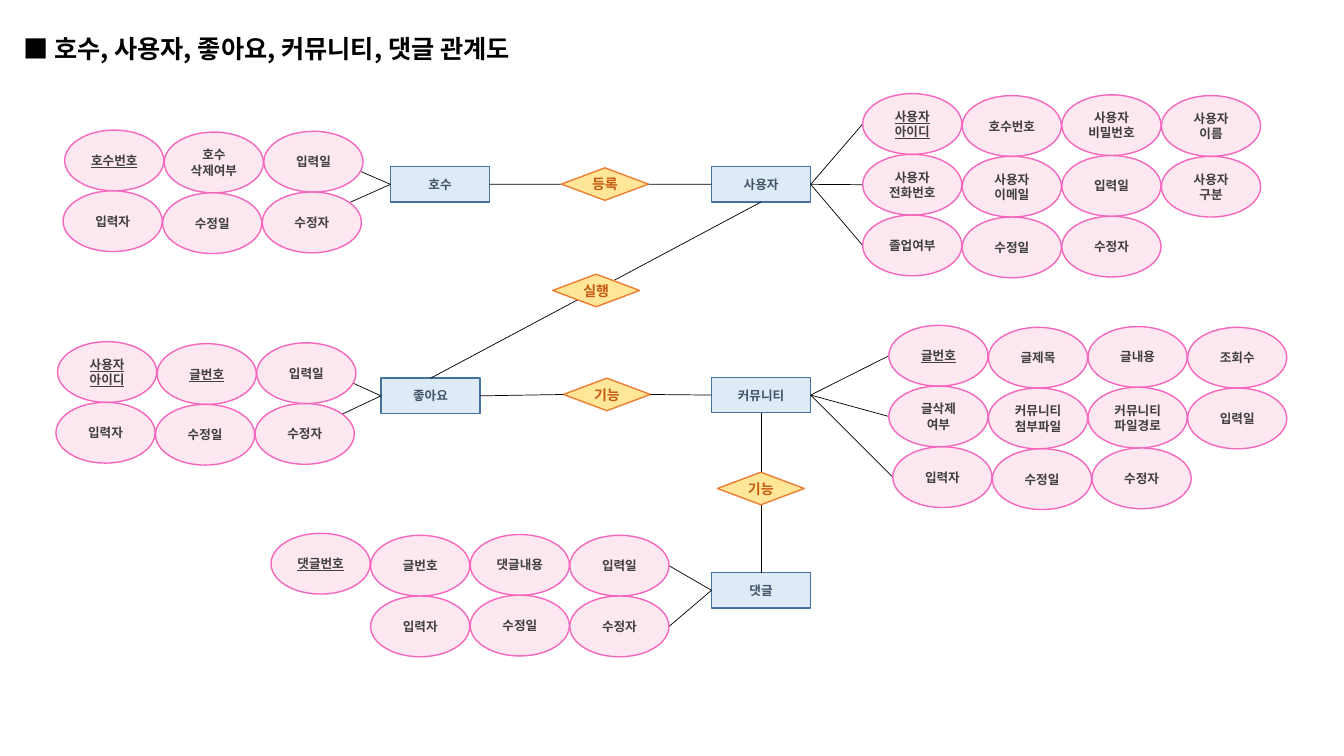
from lxml.etree import SubElement
from pptx import Presentation
from pptx.dml.color import RGBColor
from pptx.enum.shapes import MSO_CONNECTOR, MSO_SHAPE
from pptx.enum.text import MSO_ANCHOR, PP_ALIGN
from pptx.oxml.ns import qn
from pptx.util import Cm, Pt

FONT = "Noto Sans CJK KR"
COLORS = {
    "black": "000000",
    "entity": "DEEBF7", "entity_line": "43739E", "entity_text": "44546A",
    "attribute": "FDE7F1", "attribute_line": "F567BC", "attribute_text": "404040",
    "relation": "FFE699", "relation_line": "ED7D31", "relation_text": "C55A11",
}
TOP, LEFT, BOTTOM, RIGHT = range(4)

TITLE = "■ 호수, 사용자, 좋아요, 커뮤니티, 댓글 관계도"
ENTITIES = {
    "호수": (9.84, 4.2),
    "사용자": (17.93, 4.2),
    "좋아요": (9.6, 9.53),
    "커뮤니티": (17.93, 9.51),
    "댓글": (17.93, 14.43),
}
RELATIONS = [
    ("등록", 14.15, 4.23, "호수", "사용자"),
    ("실행", 13.93, 6.91, None, None),
    ("기능", 14.2, 9.53, "좋아요", "커뮤니티"),
    ("기능", 18.08, 11.9, None, None),
]
DIRECT_LINES = [("좋아요", TOP, "사용자", BOTTOM), ("댓글", TOP, "커뮤니티", BOTTOM)]

BEHIND = [(0, 2, 0.82, 0.55), (1, 2, 0.87, 0.18)]
FIRST_COLUMN = [(row, 0, 0, 0.5) for row in range(3)]
LAST_COLUMN = [(row, 3, 1, 0.5) for row in range(2)]
ATTRIBUTES = [
    ("호수", LEFT, BEHIND, 1, 3.28, [
        (1.63, ["호수번호", "호수\n삭제여부", "입력일"]),
        (1.59, ["입력자", "수정일", "수정자"])]),
    ("사용자", RIGHT, FIRST_COLUMN, 1, 2.36, [
        (21.74, ["사용자\n아이디", "호수번호", "사용자\n비밀번호", "사용자\n이름"]),
        (21.74, ["사용자\n전화번호", "사용자\n이메일", "입력일", "사용자\n구분"]),
        (21.74, ["졸업여부", "수정일", "수정자"])]),
    ("좋아요", LEFT, BEHIND, 2, 8.61, [
        (1.45, ["사용자\n아이디", "글번호", "입력일"]),
        (1.41, ["입력자", "수정일", "수정자"])]),
    ("커뮤니티", RIGHT, FIRST_COLUMN, 1, 8.2, [
        (22.4, ["글번호", "글제목", "글내용", "조회수"]),
        (22.4, ["글삭제\n여부", "커뮤니티\n첨부파일", "커뮤니티\n파일경로", "입력일"]),
        (22.5, ["입력자", "수정일", "수정자"])]),
    ("댓글", LEFT, LAST_COLUMN, 1, 13.44, [
        (6.83, ["댓글번호", "글번호", "댓글내용", "입력일"]),
        (6.83, [None, "입력자", "수정일", "수정자"])]),
]

ENTITY_SIZE = (2.5, 0.89)
RELATION_SIZE = (2.19, 0.82)
ATTRIBUTE_SIZE = (2.5, 1.53)
PITCH_X, PITCH_Y = 2.51, 1.53
STAGGER = [0, 0.05, 0.03, 0.05]

prs = Presentation()
prs.slide_width, prs.slide_height = Cm(33.87), Cm(19.05)
slide = prs.slides.add_slide(prs.slide_layouts[5])
shapes = slide.shapes


def rgb(name):
    return RGBColor.from_string(COLORS[name])


def format_text(tf, size, color, align, underline=None):
    for p in tf.paragraphs:
        p.alignment = align
        p.font.name, p.font.size, p.font.bold = FONT, Pt(size), True
        p.font.color.rgb = rgb(color)
        p.font.underline = underline
        for r in p.runs:
            SubElement(r.font._element, qn("a:ea"), typeface=FONT)


def add_node(kind, style, text, x, y, size, pt, underline=None):
    sp = shapes.add_shape(kind, Cm(x), Cm(y), *map(Cm, size))
    sp.shadow.inherit = False
    sp.fill.solid()
    sp.fill.fore_color.rgb = rgb(style)
    sp.line.color.rgb = rgb(style + "_line")
    sp.line.width = Pt(1)
    tf = sp.text_frame
    tf.margin_left = tf.margin_right = tf.margin_top = tf.margin_bottom = 0
    tf.word_wrap = False
    tf.vertical_anchor = MSO_ANCHOR.MIDDLE
    tf.text = text
    format_text(tf, pt, style + "_text", PP_ALIGN.CENTER, underline)
    return sp


def add_line(end, end_side, start=None, start_side=None, point=(0, 0)):
    x, y = map(Cm, point)
    line = shapes.add_connector(MSO_CONNECTOR.STRAIGHT, x, y, x, y)
    if start is not None:
        line.begin_connect(start, start_side)
    line.end_connect(end, end_side)
    line.line.color.rgb = rgb("black")
    line.line.width = Pt(0.5)
    SubElement(line._element.spPr, qn("a:effectLst"))


title = shapes.title
title.left, title.top, title.width, title.height = map(Cm, (0.33, 0.71, 19.18, 1.02))
tf = title.text_frame
tf.text = TITLE
tf.vertical_anchor = MSO_ANCHOR.MIDDLE
format_text(tf, 18, "black", PP_ALIGN.LEFT)

entities = {name: add_node(MSO_SHAPE.RECTANGLE, "entity", name, x, y, ENTITY_SIZE, 9)
            for name, (x, y) in ENTITIES.items()}

for start, start_side, end, end_side in DIRECT_LINES:
    add_line(entities[end], end_side, entities[start], start_side)

for name, x, y, left, right in RELATIONS:
    diamond = add_node(MSO_SHAPE.DIAMOND, "relation", name, x, y, RELATION_SIZE, 10)
    if left:
        add_line(diamond, LEFT, entities[left], RIGHT)
        add_line(entities[right], LEFT, diamond, RIGHT)

width, height = ATTRIBUTE_SIZE
for entity, side, anchors, key_count, top, rows in ATTRIBUTES:
    cells = {(i, j): (text, left + j * PITCH_X, top + i * PITCH_Y + STAGGER[j])
             for i, (left, names) in enumerate(rows)
             for j, text in enumerate(names) if text}
    for i, j, fx, fy in anchors:
        text, x, y = cells[i, j]
        add_line(entities[entity], side, point=(x + fx * width, y + fy * height))
    for (i, j), (text, x, y) in cells.items():
        is_key = i == 0 and j < key_count
        add_node(MSO_SHAPE.OVAL, "attribute", text, x, y, ATTRIBUTE_SIZE, 9, is_key or None)

prs.save("out.pptx")
